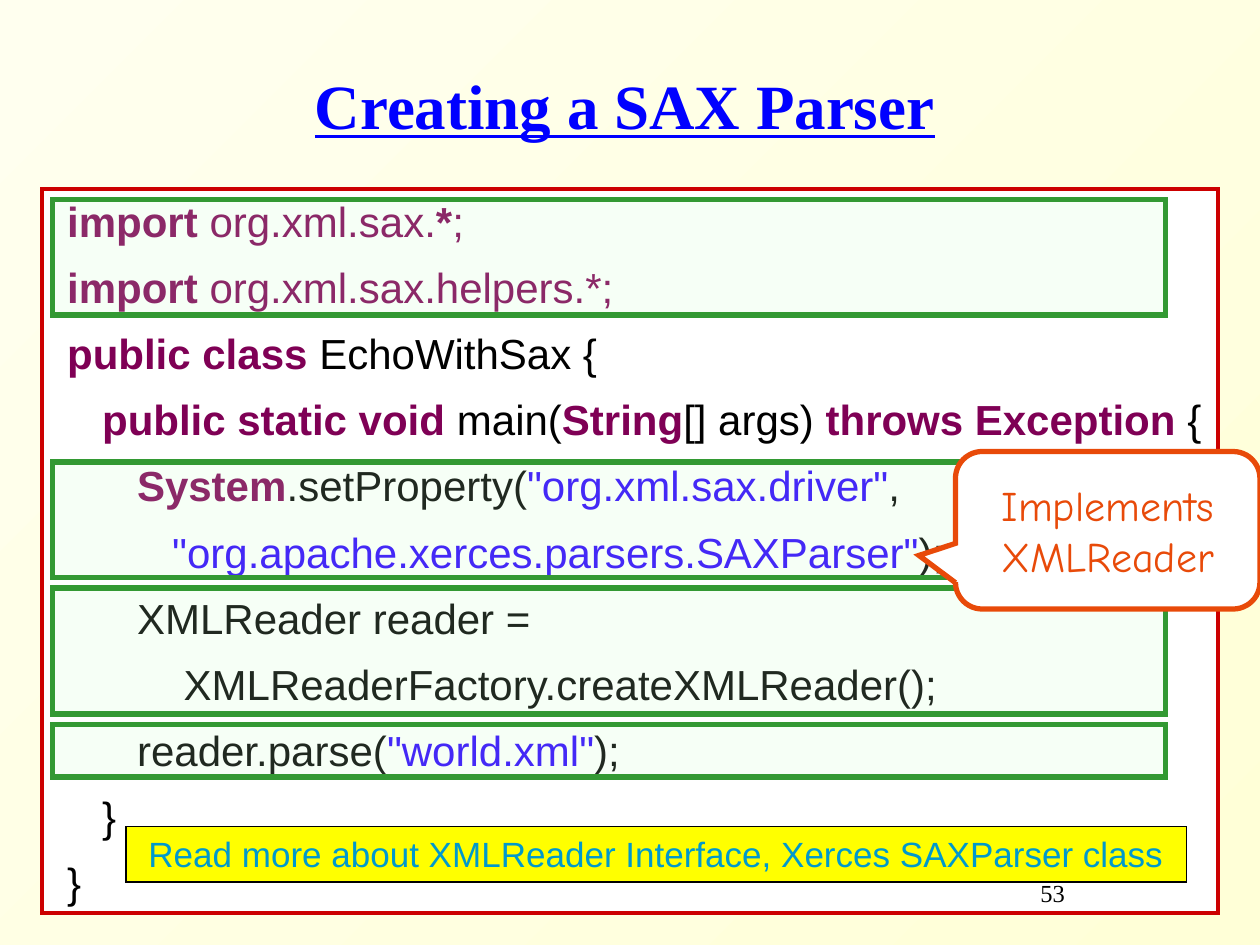
"""Build the slide on creating a SAX parser."""
from dataclasses import dataclass

from lxml.etree import SubElement
from pptx import Presentation
from pptx.dml.color import RGBColor
from pptx.enum.shapes import MSO_SHAPE
from pptx.enum.text import MSO_ANCHOR, PP_ALIGN
from pptx.oxml.ns import qn
from pptx.util import Pt

PX = 914400 // 120


@dataclass(frozen=True)
class Theme:
    serif: str = "Times New Roman"
    sans: str = "Arial"
    comic: str = "Comic Neue"
    title_size: int = 36
    code_size: int = 24
    note_size: int = 20
    number_size: int = 14
    title: str = "0000FF"
    black: str = "000000"
    white: str = "FFFFFF"
    keyword: str = "7F0055"
    string: str = "2A00FF"
    frame: str = "CC0000"
    mark: str = "CCFFCC"
    mark_edge: str = "339933"
    note: str = "FFFF00"
    note_text: str = "0099CC"
    callout: str = "E84A09"
    back_dark: str = "FFFFD7"
    back_light: str = "FFFFEF"


THEME = Theme()


def add_run(paragraph, text, font, size, color, bold=False):
    run = paragraph.add_run()
    run.text = text
    run.font.name = font
    run.font.size = Pt(size)
    run.font.bold = bold
    run.font.color.rgb = RGBColor.from_string(color)
    return run


def add_panel(preset, box, fill, edge, weight):
    panel = slide.shapes.add_shape(preset, *[n * PX for n in box])
    panel.shadow.inherit = False
    panel.fill.solid()
    panel.fill.fore_color.rgb = RGBColor.from_string(fill)
    panel.line.color.rgb = RGBColor.from_string(edge)
    panel.line.width = Pt(weight)
    outline = panel.element.spPr.find(qn("a:ln"))
    SubElement(outline, qn("a:miter"), lim="800000")
    panel.text_frame.word_wrap = True
    panel.text_frame.vertical_anchor = MSO_ANCHOR.TOP
    return panel


deck = Presentation()
deck.slide_width, deck.slide_height = 1200 * PX, 900 * PX
slide = deck.slides.add_slide(deck.slide_layouts[5])

backdrop = slide.background.fill
backdrop.gradient()
backdrop.gradient_angle = 135
for stop, color, position in zip(
    backdrop.gradient_stops, (THEME.back_dark, THEME.back_light), (0, 1)
):
    stop.color.rgb = RGBColor.from_string(color)
    stop.position = position

title = slide.shapes.title
title.left, title.top, title.width, title.height = [n * PX for n in (120, 50, 950, 110)]
title.text_frame.vertical_anchor = MSO_ANCHOR.MIDDLE
heading = title.text_frame.paragraphs[0]
heading.alignment = PP_ALIGN.CENTER
heading.line_spacing = 0.85
heading_run = add_run(
    heading, "Creating a SAX Parser", THEME.serif, THEME.title_size, THEME.title, True
)
heading_run.font.underline = True

KEYWORD = (THEME.keyword, True)
IMPORTED = (THEME.keyword, False)
PLAIN = (THEME.black, False)
STRING = (THEME.string, False)
CODE = [
    [("import", KEYWORD), (" org.xml.sax.", IMPORTED), ("*", KEYWORD), (";", IMPORTED)],
    [("import", KEYWORD), (" org.xml.sax.helpers.*;", IMPORTED)],
    [("public class", KEYWORD), (" EchoWithSax {", PLAIN)],
    [
        ("   public static void", KEYWORD),
        (" main(", PLAIN),
        ("String", KEYWORD),
        ("[] args) ", PLAIN),
        ("throws Exception", KEYWORD),
        (" {", PLAIN),
    ],
    [
        ("      System", KEYWORD),
        (".setProperty(", PLAIN),
        ('"org.xml.sax.driver"', STRING),
        (",", PLAIN),
    ],
    [
        ("         ", PLAIN),
        ('"org.apache.xerces.parsers.SAXParser"', STRING),
        (");", PLAIN),
    ],
    [("      XMLReader reader =", PLAIN)],
    [("          XMLReaderFactory.createXMLReader();", PLAIN)],
    [("      reader.parse(", PLAIN), ('"world.xml"', STRING), (");", PLAIN)],
    [("   }", PLAIN)],
    [("}", PLAIN)],
]
listing = add_panel(
    MSO_SHAPE.RECTANGLE, (40, 180, 1120, 690), THEME.white, THEME.frame, 2.25
).text_frame
listing.margin_left = 24 * PX
for index, tokens in enumerate(CODE):
    code_line = listing.add_paragraph() if index else listing.paragraphs[0]
    code_line.alignment = PP_ALIGN.LEFT
    if index:
        code_line.space_before = Pt(9)
    for text, (color, bold) in tokens:
        add_run(code_line, text, THEME.sans, THEME.code_size, color, bold)

for top, height in ((190, 110), (440, 110), (560, 120), (690, 50)):
    highlight = add_panel(
        MSO_SHAPE.RECTANGLE, (50, top, 1060, height), THEME.mark, THEME.mark_edge, 3
    )
    tint = highlight.element.spPr.find(qn("a:solidFill"))[0]
    SubElement(tint, qn("a:alpha"), val="16000")

note = add_panel(
    MSO_SHAPE.RECTANGLE, (120, 787, 1010, 53), THEME.note, THEME.black, 0.75
).text_frame.paragraphs[0]
note.alignment = PP_ALIGN.CENTER
add_run(
    note,
    "Read more about XMLReader Interface, Xerces SAXParser class",
    THEME.sans,
    THEME.note_size,
    THEME.note_text,
)

callout = add_panel(
    MSO_SHAPE.ROUNDED_RECTANGULAR_CALLOUT,
    (910, 430, 290, 150),
    THEME.white,
    THEME.callout,
    3,
)
callout.adjustments[0] = -0.62
callout.adjustments[1] = 0.16
callout.adjustments[2] = 0.17
callout.text_frame.vertical_anchor = MSO_ANCHOR.MIDDLE
remark = callout.text_frame.paragraphs[0]
remark.alignment = PP_ALIGN.CENTER
add_run(remark, "Implements XMLReader", THEME.comic, THEME.code_size, THEME.callout)

footer = slide.shapes.add_textbox(*[n * PX for n in (950, 830, 250, 60)]).text_frame
footer.word_wrap = True
footer.margin_left = 41 * PX
add_run(footer.paragraphs[0], "53", THEME.serif, THEME.number_size, THEME.black)

deck.save("out.pptx")
